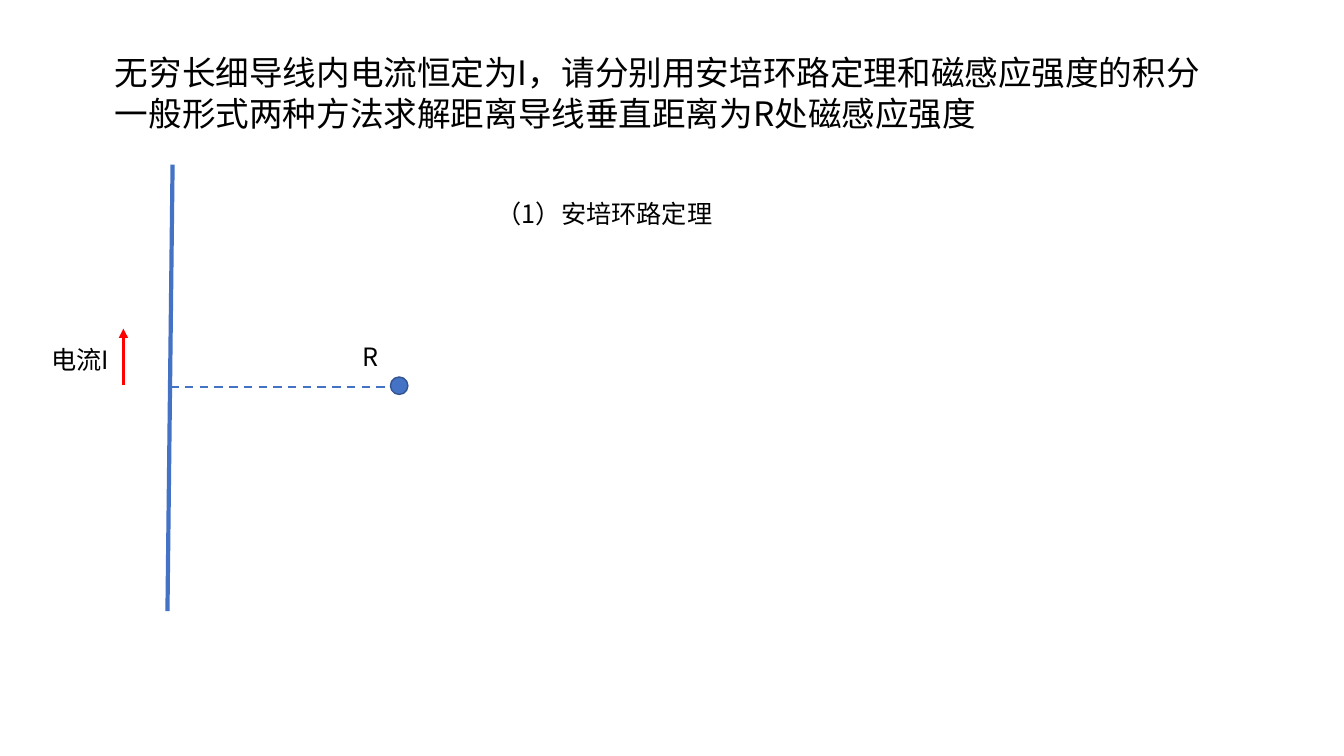
from dataclasses import dataclass

import pptx
import pptx.dml.color
import pptx.enum.dml
import pptx.enum.shapes
import pptx.enum.text
import pptx.oxml.ns
import pptx.util
from lxml import etree
from pptx.util import Cm, Pt


@dataclass(frozen=True)
class Theme:
    font: str = "Noto Sans CJK SC"
    text: str = "000000"
    blue: str = "4472C4"
    outline: str = "325491"
    red: str = "FF0000"
    title_size: int = 24
    label_size: int = 18
    line_pitch: float = 1.2


theme = Theme()
rgb = pptx.dml.color.RGBColor.from_string
qn = pptx.oxml.ns.qn


def write_text(shape, text, size, box):
    """Place a shape by its box in cm and fill it with one left-aligned paragraph."""
    shape.left, shape.top, shape.width, shape.height = map(Cm, box)
    frame = shape.text_frame
    frame_format = {
        "word_wrap": True,
        "auto_size": pptx.enum.text.MSO_AUTO_SIZE.SHAPE_TO_FIT_TEXT,
        "vertical_anchor": pptx.enum.text.MSO_ANCHOR.TOP,
    }
    for name, value in frame_format.items():
        setattr(frame, name, value)
    paragraph = frame.paragraphs[0]
    paragraph.alignment = pptx.enum.text.PP_ALIGN.LEFT
    paragraph.line_spacing = Pt(size * theme.line_pitch)
    run = paragraph.add_run()
    run.text = text
    for name, value in {"name": theme.font, "size": Pt(size)}.items():
        setattr(run.font, name, value)
    run.font.color.rgb = rgb(theme.text)
    east_asian = etree.SubElement(run.font._element, qn("a:ea"))
    east_asian.set("typeface", theme.font)


presentation = pptx.Presentation()
presentation.slide_width = Cm(33.87)
presentation.slide_height = Cm(19.05)
slide = presentation.slides.add_slide(presentation.slide_layouts[5])

write_text(
    slide.shapes.title,
    "无穷长细导线内电流恒定为I，请分别用安培环路定理和磁感应强度的积分"
    "一般形式两种方法求解距离导线垂直距离为R处磁感应强度",
    theme.title_size,
    (2.64, 1.19, 28.24, 2.31),
)

# Wire, current arrow and distance: ends in cm, colour, width, dash, arrowhead
dash = pptx.enum.dml.MSO_LINE.DASH
lines = [
    ((4.35, 4.15, 4.22, 15.4), theme.blue, 3, None, False),
    ((3.11, 9.7, 3.11, 8.28), theme.red, 2.25, None, True),
    ((4.29, 9.76, 10.1, 9.76), theme.blue, 1.5, dash, False),
]
for ends, color, width, dash_style, has_arrow in lines:
    connector = slide.shapes.add_connector(
        pptx.enum.shapes.MSO_CONNECTOR.STRAIGHT, *map(Cm, ends)
    )
    connector.line.color.rgb = rgb(color)
    connector.line.width = Pt(width)
    if dash_style:
        connector.line.dash_style = dash_style
    if has_arrow:
        arrowhead = etree.SubElement(connector.line._get_or_add_ln(), qn("a:tailEnd"))
        arrowhead.set("type", "triangle")
    etree.SubElement(connector._element.spPr, qn("a:effectLst"))

field_point = slide.shapes.add_shape(
    pptx.enum.shapes.MSO_SHAPE.OVAL, Cm(9.84), Cm(9.5), Cm(0.44), Cm(0.44)
)
field_point.shadow.inherit = False
field_point.fill.solid()
field_point.fill.fore_color.rgb = rgb(theme.blue)
field_point.line.color.rgb = rgb(theme.outline)
field_point.line.width = Pt(1)

labels = [
    ("电流I", (1.04, 8.56, 1.96, 1.02)),
    ("R", (8.89, 8.48, 0.89, 1.02)),
    ("（1）安培环路定理", (12.27, 4.88, 6.6, 1.02)),
]
for text, box in labels:
    label = slide.shapes.add_textbox(0, 0, 0, 0)
    write_text(label, text, theme.label_size, box)

presentation.save("out.pptx")
